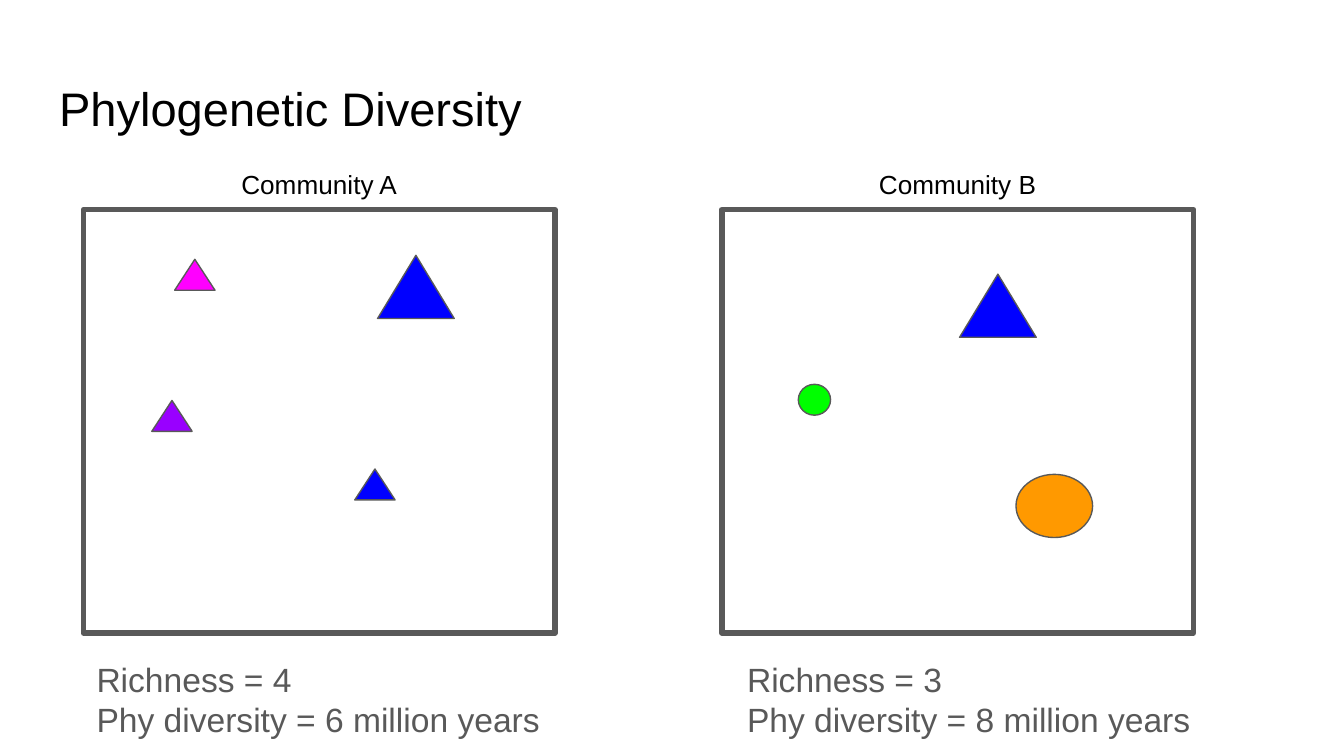
import pptx
import pptx.util
import pptx.dml.color
import pptx.enum.shapes
import pptx.enum.text

Inches, Pt = pptx.util.Inches, pptx.util.Pt
SHAPE = pptx.enum.shapes.MSO_SHAPE
ANCHOR = pptx.enum.text.MSO_ANCHOR
ALIGN = pptx.enum.text.PP_ALIGN
AUTO = pptx.enum.text.MSO_AUTO_SIZE

# Content: each species is (shape, colour, left, top, size)
GREY, BLACK, BLUE = "595959", "000000", "0000FF"
SMALL, LARGE, ROUND = (0.3, 0.23), (0.57, 0.47), (0.24, 0.23)
TRIANGLE, OVAL = SHAPE.ISOSCELES_TRIANGLE, SHAPE.OVAL

TITLE = "Phylogenetic Diversity"
COMMUNITIES = [
    {
        "name": "Community A",
        "left": 0.62,
        "species": [
            (TRIANGLE, "FF00FF", 1.3, 1.93, SMALL),
            (TRIANGLE, BLUE, 2.64, 3.49, SMALL),
            (TRIANGLE, BLUE, 2.81, 1.9, LARGE),
            (TRIANGLE, "9900FF", 1.13, 2.98, SMALL),
        ],
        "measures": ["Richness = 4", "Phy diversity = 6 million years"],
        "measures_left": 0.62,
        "measures_width": 3.57,
    },
    {
        "name": "Community B",
        "left": 5.37,
        "species": [
            (TRIANGLE, BLUE, 7.14, 2.04, LARGE),
            (OVAL, "00FF00", 5.94, 2.86, ROUND),
            (OVAL, "FF9900", 7.56, 3.53, LARGE),
        ],
        "measures": ["Richness = 3", "Phy diversity = 8 million years"],
        "measures_left": 5.46,
        "measures_width": 3.81,
    },
]
SLIDE_WIDTH = 10
SLIDE_HEIGHT = SLIDE_WIDTH * 9 / 16
FRAME_TOP, FRAME_WIDTH, FRAME_HEIGHT = 1.56, 3.51, 3.15
NAME_TOP, NAME_HEIGHT = 1.17, 0.4
MEASURES_TOP, MEASURES_HEIGHT = 4.8, 0.81


def rgb(colour):
    return pptx.dml.color.RGBColor.from_string(colour)


def write(frame, lines, size, colour, align=ALIGN.LEFT, anchor=ANCHOR.TOP):
    frame.word_wrap = True
    frame.vertical_anchor = anchor
    frame.margin_left = frame.margin_right = Inches(0.1)
    frame.margin_top = frame.margin_bottom = Inches(0.1)
    frame.text = "\n".join(lines)
    for paragraph in frame.paragraphs:
        paragraph.alignment = align
        paragraph.line_spacing = 1.0
        paragraph.space_before = paragraph.space_after = Pt(0)
        paragraph.font.name = "Arial"
        paragraph.font.size = Pt(size)
        paragraph.font.color.rgb = rgb(colour)


def add_outlined(kind, left, top, width, height, line_width, fill=None):
    outlined = slide.shapes.add_shape(
        kind, Inches(left), Inches(top), Inches(width), Inches(height))
    outlined.shadow.inherit = False
    if fill:
        outlined.fill.solid()
        outlined.fill.fore_color.rgb = rgb(fill)
    else:
        outlined.fill.background()
    outlined.line.color.rgb = rgb(GREY)
    outlined.line.width = Pt(line_width)
    return outlined


def add_text(left, top, width, height):
    return slide.shapes.add_textbox(
        Inches(left), Inches(top), Inches(width), Inches(height)).text_frame


deck = pptx.Presentation()
deck.slide_width, deck.slide_height = Inches(SLIDE_WIDTH), Inches(SLIDE_HEIGHT)
slide = deck.slides.add_slide(deck.slide_layouts[5])

# Title
title = slide.shapes.title
title.left, title.top = Inches(0.34), Inches(0.49)
title.width, title.height = Inches(9.32), Inches(0.63)
write(title.text_frame, [TITLE], 25.2, BLACK)
title.text_frame.auto_size = AUTO.NONE

for community in COMMUNITIES:
    # Frame and name
    left = community["left"]
    habitat = add_outlined(SHAPE.RECTANGLE, left, FRAME_TOP, FRAME_WIDTH, FRAME_HEIGHT, 3)
    habitat.rotation = 180
    name = add_text(left, NAME_TOP, FRAME_WIDTH, NAME_HEIGHT)
    write(name, [community["name"]], 14, BLACK, ALIGN.CENTER, ANCHOR.MIDDLE)

    # Species
    for kind, colour, x, y, size in community["species"]:
        add_outlined(kind, x, y, *size, 0.75, colour)

    # Diversity measures
    measures = add_text(community["measures_left"], MEASURES_TOP,
                        community["measures_width"], MEASURES_HEIGHT)
    write(measures, community["measures"], 18, GREY)
    measures.auto_size = AUTO.SHAPE_TO_FIT_TEXT

deck.save("out.pptx")
